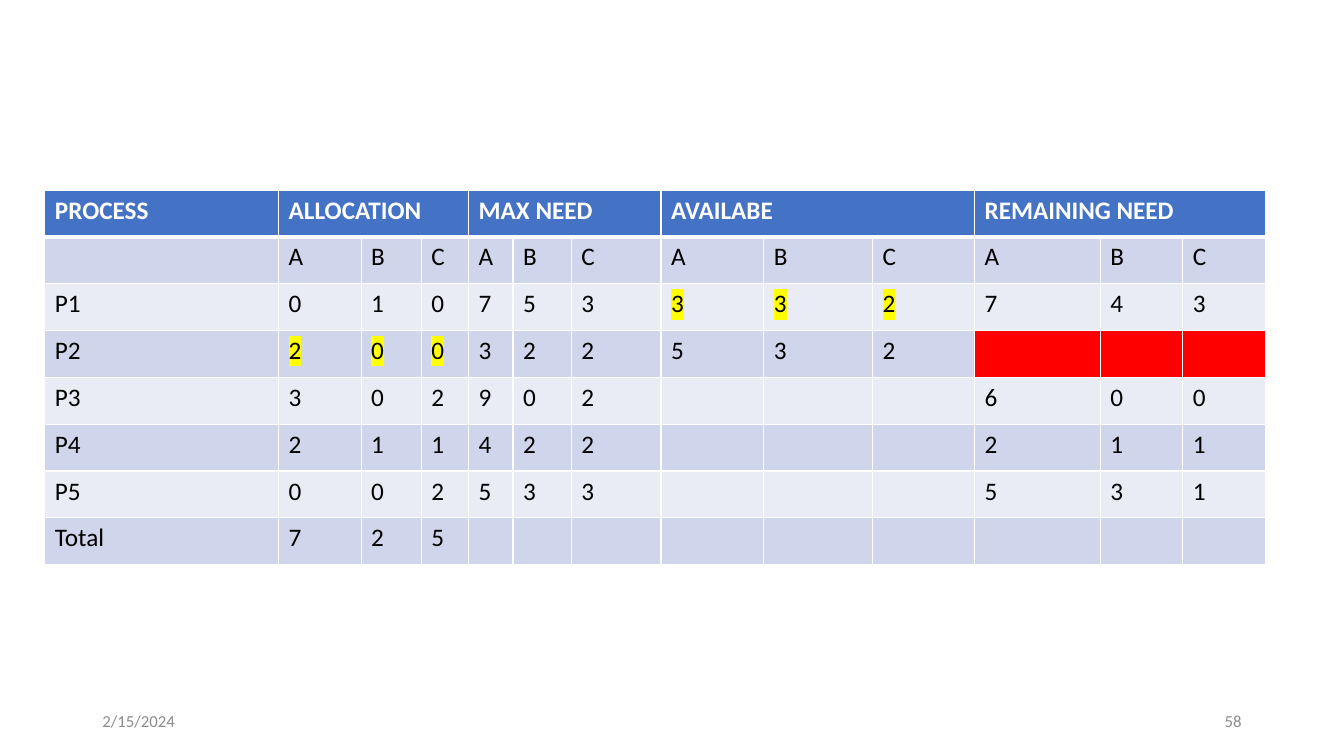
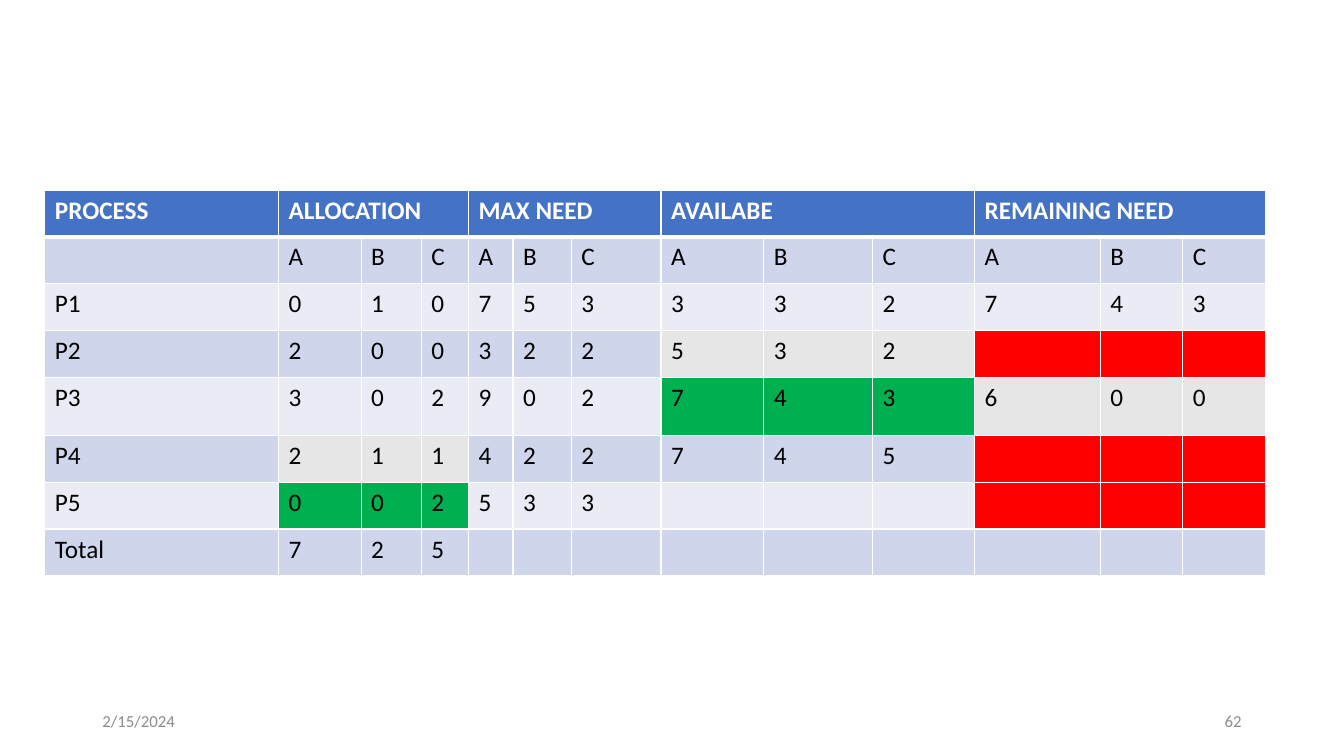
"""Build two slides that step through a resource allocation table."""
from lxml.etree import SubElement
from pptx import Presentation
from pptx.dml.color import RGBColor
from pptx.enum.text import MSO_ANCHOR, PP_ALIGN
from pptx.oxml.ns import qn
from pptx.util import Cm, Pt

WHITE = RGBColor(0xFF, 0xFF, 0xFF)
BLACK = RGBColor(0x00, 0x00, 0x00)
FOOTER_GRAY = RGBColor(0x8C, 0x8C, 0x8C)
HEADER_BLUE = RGBColor(0x44, 0x72, 0xC4)
BAND_DARK = RGBColor(0xCF, 0xD5, 0xEA)
BAND_LIGHT = RGBColor(0xE9, 0xEB, 0xF5)
GRAY = RGBColor(0xE7, 0xE6, 0xE6)
RED = RGBColor(0xFF, 0x00, 0x00)
GREEN = RGBColor(0x00, 0xB0, 0x50)
YELLOW = RGBColor(0xFF, 0xFF, 0x00)

FONT = "Calibri"
GROUP_SIZE = 3
COLUMN_WIDTHS = [5.89, 2.08, 1.52, 1.19, 1.12, 1.47, 2.26, 2.59, 2.74, 2.57, 3.17, 2.08, 2.08]
ROW_HEIGHT = 1.18
TALL_ROW_HEIGHT = 1.46
HEADINGS = ["PROCESS", "ALLOCATION", "MAX NEED", "AVAILABE", "REMAINING NEED"]
ALLOCATION, MAX_NEED, AVAILABLE, REMAINING = range(4)
PROCESSES = ["P1", "P2", "P3", "P4", "P5"]
ALLOCATED = ["010", "200", "302", "211", "002"]
MAXIMUM = ["753", "322", "902", "422", "533"]


def style_span(span, size, color, bold=False):
    """Set the font of one run."""
    span.font.size = Pt(size)
    span.font.color.rgb = color
    span.font.name = FONT
    span.font.bold = bold


def highlight_span(span, color):
    """Put a marker colour behind one run."""
    color_fill = span.font._element.find(qn("a:solidFill"))
    marker = SubElement(span.font._element, qn("a:highlight"))
    SubElement(marker, qn("a:srgbClr"), val=str(color))
    color_fill.addnext(marker)


def add_footer(page, left, text, align):
    """Add one footer text to a page."""
    box = page.shapes.add_textbox(Cm(left), Cm(17.65), Cm(7.62), Cm(1.02))
    frame = box.text_frame
    frame.word_wrap = True
    frame.vertical_anchor = MSO_ANCHOR.MIDDLE
    frame.text = text
    para = frame.paragraphs[0]
    para.alignment = align
    style_span(para.runs[0], 12, FOOTER_GRAY)


def set_borders(cell, top, bottom):
    """Draw white lines around a cell, with given top and bottom widths."""
    properties = cell._tc.get_or_add_tcPr()
    for side, width in (("L", 1), ("R", 1), ("T", top), ("B", bottom)):
        line = SubElement(properties, qn(f"a:ln{side}"), w=str(Pt(width)))
        fill = SubElement(line, qn("a:solidFill"))
        SubElement(fill, qn("a:srgbClr"), val=str(WHITE))


def fill_cell(cell, text, row, fill, marker):
    """Set the text, borders and colours of one cell."""
    is_header = row == 0
    set_borders(cell, 3 if row == 1 else 1, 3 if is_header else 1)
    cell.fill.solid()
    cell.fill.fore_color.rgb = fill
    cell.text = text
    for span in cell.text_frame.paragraphs[0].runs:
        style_span(span, 18, WHITE if is_header else BLACK, is_header)
        if marker:
            highlight_span(span, marker)


def split_groups(label, groups):
    """Spread a label and its groups over the columns of one row."""
    return [label] + [mark for group in groups for mark in group.ljust(GROUP_SIZE)]


def table_rows(available, remaining):
    """Return the text of every cell, row by row."""
    header = HEADINGS[:1]
    for heading in HEADINGS[1:]:
        header += [heading] + [""] * (GROUP_SIZE - 1)
    rows = [header, split_groups("", ["ABC"] * 4)]
    for label, *groups in zip(PROCESSES, ALLOCATED, MAXIMUM, available, remaining):
        rows.append(split_groups(label, groups))
    rows.append(split_groups("Total", ["725", "", "", ""]))
    return [[text.strip() for text in row] for row in rows]


def add_process_table(page, available, remaining, fills, markers, tall_process=None):
    """Add the table; fills and markers are keyed by process and group."""
    rows = table_rows(available, remaining)
    heights = [ROW_HEIGHT] * len(rows)
    if tall_process:
        heights[PROCESSES.index(tall_process) + 2] = TALL_ROW_HEIGHT
    table = page.shapes.add_table(
        len(rows), len(COLUMN_WIDTHS), Cm(1.13), Cm(4.79),
        Cm(sum(COLUMN_WIDTHS)), Cm(sum(heights))).table
    table.first_row = table.horz_banding = False
    for column, width in zip(table.columns, COLUMN_WIDTHS):
        column.width = Cm(width)
    for table_row, height in zip(table.rows, heights):
        table_row.height = Cm(height)
    for row, texts in enumerate(rows):
        band = HEADER_BLUE if row == 0 else BAND_DARK if row % 2 else BAND_LIGHT
        for column, text in enumerate(texts):
            key = (texts[0], (column - 1) // GROUP_SIZE)
            fill_cell(table.cell(row, column), text, row, fills.get(key, band), markers.get(key))
    for first in range(1, len(COLUMN_WIDTHS), GROUP_SIZE):
        table.cell(0, first).merge(table.cell(0, first + GROUP_SIZE - 1))


def add_page(deck, number):
    """Add a blank page with its date and number."""
    page = deck.slides.add_slide(deck.slide_layouts[6])
    add_footer(page, 2.33, "2/15/2024", PP_ALIGN.LEFT)
    add_footer(page, 23.92, number, PP_ALIGN.RIGHT)
    return page


def main():
    """Build and save the deck."""
    deck = Presentation()
    deck.slide_width, deck.slide_height = Cm(33.87), Cm(19.05)
    add_process_table(
        add_page(deck, "58"),
        available=["332", "532", "", "", ""],
        remaining=["743", "", "600", "211", "531"],
        fills={("P2", REMAINING): RED},
        markers={("P1", AVAILABLE): YELLOW, ("P2", ALLOCATION): YELLOW})
    add_process_table(
        add_page(deck, "62"),
        available=["332", "532", "743", "745", ""],
        remaining=["743", "", "600", "", ""],
        fills={
            ("P2", AVAILABLE): GRAY, ("P2", REMAINING): RED,
            ("P3", AVAILABLE): GREEN, ("P3", REMAINING): GRAY,
            ("P4", ALLOCATION): GRAY, ("P4", REMAINING): RED,
            ("P5", ALLOCATION): GREEN, ("P5", REMAINING): RED},
        markers={}, tall_process="P3")
    deck.save("out.pptx")


if __name__ == "__main__":
    main()
